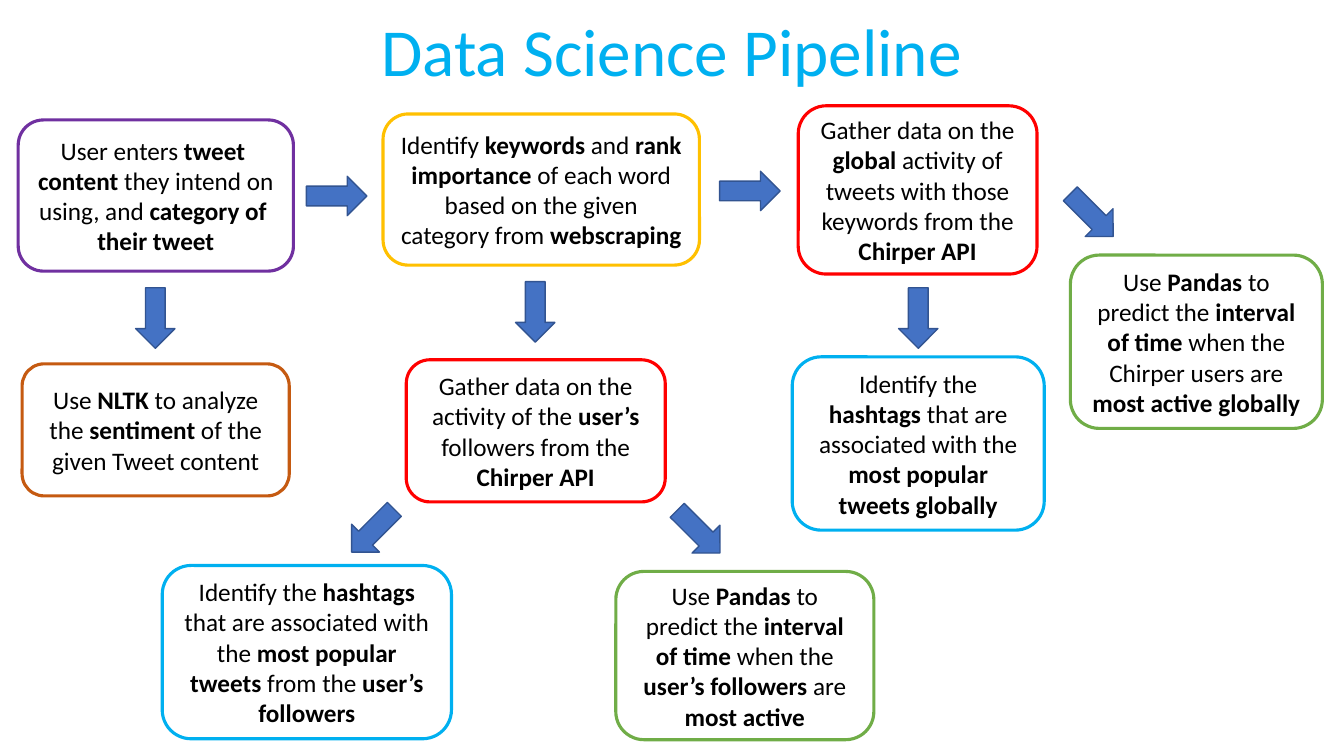
from pptx import Presentation
from pptx.dml.color import RGBColor
from pptx.enum.shapes import MSO_SHAPE as Shape
from pptx.enum.text import MSO_ANCHOR as Anchor, PP_ALIGN as Align
from pptx.util import Pt

BLACK = RGBColor(0x00, 0x00, 0x00)
SKY = RGBColor(0x00, 0xB0, 0xF0)
GOLD = RGBColor(0xFF, 0xC0, 0x00)
RED = RGBColor(0xFF, 0x00, 0x00)
GREEN = RGBColor(0x70, 0xAD, 0x47)
PURPLE = RGBColor(0x70, 0x30, 0xA0)
RUST = RGBColor(0xC5, 0x5A, 0x11)
ARROW_FILL = RGBColor(0x44, 0x72, 0xC4)
ARROW_EDGE = RGBColor(0x32, 0x54, 0x91)


class PipelineSlide:
    """Holds the shared style and the slide being drawn."""
    font = "Calibri"
    arrow_length, arrow_height = 43.2, 28.1

    def __init__(self, slide):
        self.shapes = slide.shapes

    def style(self, run, size, color, bold=False):
        run.font.name = self.font
        run.font.size = Pt(size)
        run.font.color.rgb = color
        run.font.bold = bold

    def title(self, text, left, top, width, height):
        frame = self.shapes.add_textbox(Pt(left), Pt(top), Pt(width), Pt(height)).text_frame
        frame.word_wrap = True
        frame.text = text
        heading = frame.paragraphs[0]
        heading.alignment = Align.CENTER
        self.style(heading.runs[0], 48, SKY)

    def step(self, text, color, left, top, width, height):
        """Rounded box; words between asterisks are bold."""
        box = self.shapes.add_shape(Shape.ROUNDED_RECTANGLE,
                                    Pt(left), Pt(top), Pt(width), Pt(height))
        box.shadow.inherit = False
        box.fill.background()
        box.line.color.rgb = color
        box.line.width = Pt(2.25)
        frame = box.text_frame
        frame.word_wrap = True
        frame.vertical_anchor = Anchor.MIDDLE
        frame.text = text
        for paragraph in frame.paragraphs:
            pieces = paragraph.text.split("*")
            paragraph.clear()
            paragraph.alignment = Align.CENTER
            for index, piece in enumerate(pieces):
                if piece:
                    run = paragraph.add_run()
                    run.text = piece
                    self.style(run, 18, BLACK, bold=index % 2 == 1)

    def arrow(self, center_x, center_y, rotation):
        arrow = self.shapes.add_shape(
            Shape.RIGHT_ARROW,
            Pt(center_x - self.arrow_length / 2), Pt(center_y - self.arrow_height / 2),
            Pt(self.arrow_length), Pt(self.arrow_height))
        arrow.rotation = rotation
        arrow.shadow.inherit = False
        arrow.fill.solid()
        arrow.fill.fore_color.rgb = ARROW_FILL
        arrow.line.color.rgb = ARROW_EDGE
        arrow.line.width = Pt(1)


deck = Presentation()
deck.slide_width, deck.slide_height = Pt(960), Pt(540)
pipeline = PipelineSlide(deck.slides.add_slide(deck.slide_layouts[6]))

pipeline.title("Data Science Pipeline", 260.6, 2.9, 438.5, 87.1)

# Steps: text, outline, left, top, width, height
STEPS = [
    # Top row
    ("User enters *tweet *\n*content* they intend on \nusing, and *category of *\n*their tweet*",
     PURPLE, 13, 85.7, 196.6, 108),
    ("Identify *keywords* and *rank importance *of each word based on the given "
     "category from *webscraping*", GOLD, 273.6, 81.4, 226, 108),
    ("Gather data on the *global *activity of tweets with those keywords from the "
     "*Chirper API*", RED, 570.2, 75.6, 170.6, 120.2),
    # Middle row
    ("Use* NLTK *to analyze the *sentiment* of the given Tweet content",
     RUST, 15.8, 259.9, 190.8, 94.3),
    ("Gather data on the activity of the *user’s* followers from the *Chirper API*",
     RED, 290.2, 257, 185, 101.5),
    ("Identify the *hashtags* that are associated with the *most popular tweets globally*",
     SKY, 565.9, 254.9, 180, 123.8),
    ("Use *Pandas* to predict the* interval of time *when the Chirper users are "
     "*most active globally*", GREEN, 764.6, 182.2, 180, 123.8),
    # Bottom row
    ("Identify the *hashtags *that are associated with the *most popular tweets *"
     "from the *user’s followers*", SKY, 115.9, 403.9, 206.6, 123.8),
    ("Use *Pandas* to predict the *interval of time* when the *user’s followers *are "
     "*most active*", GREEN, 439.9, 408.2, 184.3, 120.2),
]
for step in STEPS:
    pipeline.step(*step)

# Arrow centres, grouped by rotation
ARROWS = {
    0: [(240.5, 140), (535.7, 136.4)],
    45: [(779.8, 153.7), (499, 379.8)],
    90: [(110.9, 227.2), (382.3, 222.8), (655.9, 227.2)],
    135: [(266.4, 379.1)],
}
for rotation, centers in ARROWS.items():
    for center_x, center_y in centers:
        pipeline.arrow(center_x, center_y, rotation)

deck.save("out.pptx")
